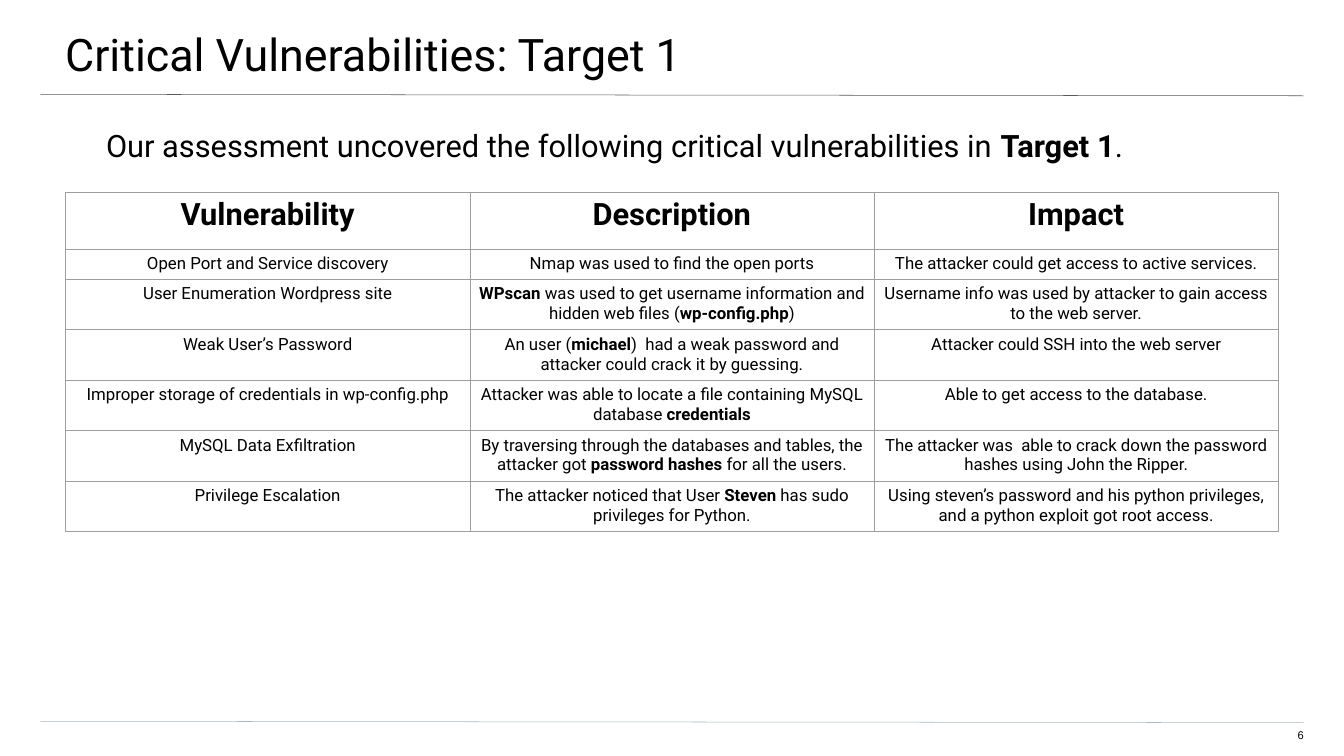
from lxml.etree import SubElement
from pptx import Presentation
from pptx.dml.color import RGBColor
from pptx.enum.shapes import MSO_CONNECTOR as Connector
from pptx.enum.text import MSO_ANCHOR as Anchor, PP_ALIGN as Align
from pptx.oxml.ns import qn
from pptx.util import Pt

BLACK, GRID, RULE_TOP, RULE_BOTTOM = "000000", "9E9E9E", "595959", "A9B7C0"
CELL_INSET = 7.2
HEADER_HEIGHT, LINE_HEIGHT = 81.4, 28.1

# Double asterisks enclose bold words
HEADERS = ["**Vulnerability**", "**Description**", "**Impact**"]
# Lines of text in the tallest cell, then the three cells
FINDINGS = [
    (1, "Open Port and Service discovery",
     "Nmap was used to find the open ports",
     "The attacker could get access to active services."),
    (2, "User Enumeration Wordpress site",
     "**WPscan** was used to get username information and hidden web files (**wp-config.php**)",
     "Username info was used by attacker to gain access to the web server."),
    (2, "Weak User’s Password",
     "An user (**michael**)  had a weak password and attacker could crack it by guessing.",
     "Attacker could SSH into the web server"),
    (2, "Improper storage of credentials in wp-config.php",
     "Attacker was able to locate a file containing MySQL database **credentials**",
     "Able to get access to the database."),
    (2, "MySQL Data Exfiltration",
     "By traversing through the databases and tables, the attacker got **password hashes** for all the users.",
     "The attacker was  able to crack down the password hashes using John the Ripper."),
    (2, "Privilege Escalation",
     "The attacker noticed that User **Steven** has sudo privileges for Python.",
     "Using steven’s password and his python privileges, and a python exploit got root access."),
]


def color(value):
    return RGBColor.from_string(value)


def write_text(frame, text, size=24, font="Roboto", fill=BLACK, align=Align.LEFT):
    paragraph = frame.paragraphs[0]
    paragraph.alignment = align
    for index, part in enumerate(text.split("**")):
        if part:
            run = paragraph.add_run()
            run.text = part
            run.font.name = font
            run.font.size = Pt(size)
            run.font.bold = index % 2 == 1
            run.font.color.rgb = color(fill)


def add_text(slide, text, left, top, width, height, insets=(0, 0, 0, 0), **style):
    frame = slide.shapes.add_textbox(Pt(left), Pt(top), Pt(width), Pt(height)).text_frame
    frame.word_wrap = True
    frame.vertical_anchor = Anchor.TOP
    (frame.margin_left, frame.margin_top,
     frame.margin_right, frame.margin_bottom) = map(Pt, insets)
    write_text(frame, text, **style)


def add_rule(slide, top, line_color):
    rule = slide.shapes.add_connector(
        Connector.STRAIGHT, Pt(57.6), Pt(top), Pt(1862), Pt(top + 2))
    rule.line.color.rgb = color(line_color)
    rule.line.width = Pt(0.75)
    SubElement(rule._element.spPr, qn("a:effectLst"))


def format_cell(cell):
    properties = cell._tc.get_or_add_tcPr()
    for side in ("a:lnL", "a:lnR", "a:lnT", "a:lnB"):
        border = SubElement(properties, qn(side), w=str(Pt(0.75)))
        solid = SubElement(border, qn("a:solidFill"))
        SubElement(solid, qn("a:srgbClr"), val=GRID)
    cell.fill.background()
    cell.margin_left = cell.margin_right = Pt(CELL_INSET)
    cell.margin_top = cell.margin_bottom = Pt(CELL_INSET)
    cell.vertical_anchor = Anchor.TOP


def add_findings_table(slide, left, top, width):
    rows = [(HEADER_HEIGHT, 44, HEADERS)]
    rows += [(lines * LINE_HEIGHT + 2 * CELL_INSET, 24, texts)
             for lines, *texts in FINDINGS]
    height = sum(row[0] for row in rows)
    table = slide.shapes.add_table(
        len(rows), len(HEADERS), Pt(left), Pt(top), Pt(width), Pt(height)).table
    for column in table.columns:
        column.width = Pt(width / len(HEADERS))
    for row, (row_height, size, texts) in zip(table.rows, rows):
        row.height = Pt(row_height)
        for cell, text in zip(row.cells, texts):
            format_cell(cell)
            write_text(cell.text_frame, text, size=size, align=Align.CENTER)


def main():
    presentation = Presentation()
    presentation.slide_width, presentation.slide_height = Pt(1919.5), Pt(1080)
    slide = presentation.slides.add_slide(presentation.slide_layouts[6])

    # Header and footer rules
    add_rule(slide, 134.8, RULE_TOP)
    add_rule(slide, 1030.4, RULE_BOTTOM)

    # Title and page number
    add_text(slide, "Critical Vulnerabilities: Target 1", -2.9, 0, 1924.5, 112.3,
             insets=(96, 38, 57.6, 19.4), size=64)
    add_text(slide, "6", 1807.2, 1041, 54.8, 22.3,
             size=16, font="Arial", align=Align.RIGHT)

    # Introduction and findings
    add_text(slide, "Our assessment uncovered the following critical vulnerabilities in **Target 1**.",
             55.4, 180.7, 1806.5, 70, insets=(96, 0, 96, 0), size=44)
    add_findings_table(slide, 93.6, 274.3, 1732)

    presentation.save("out.pptx")


if __name__ == "__main__":
    main()
